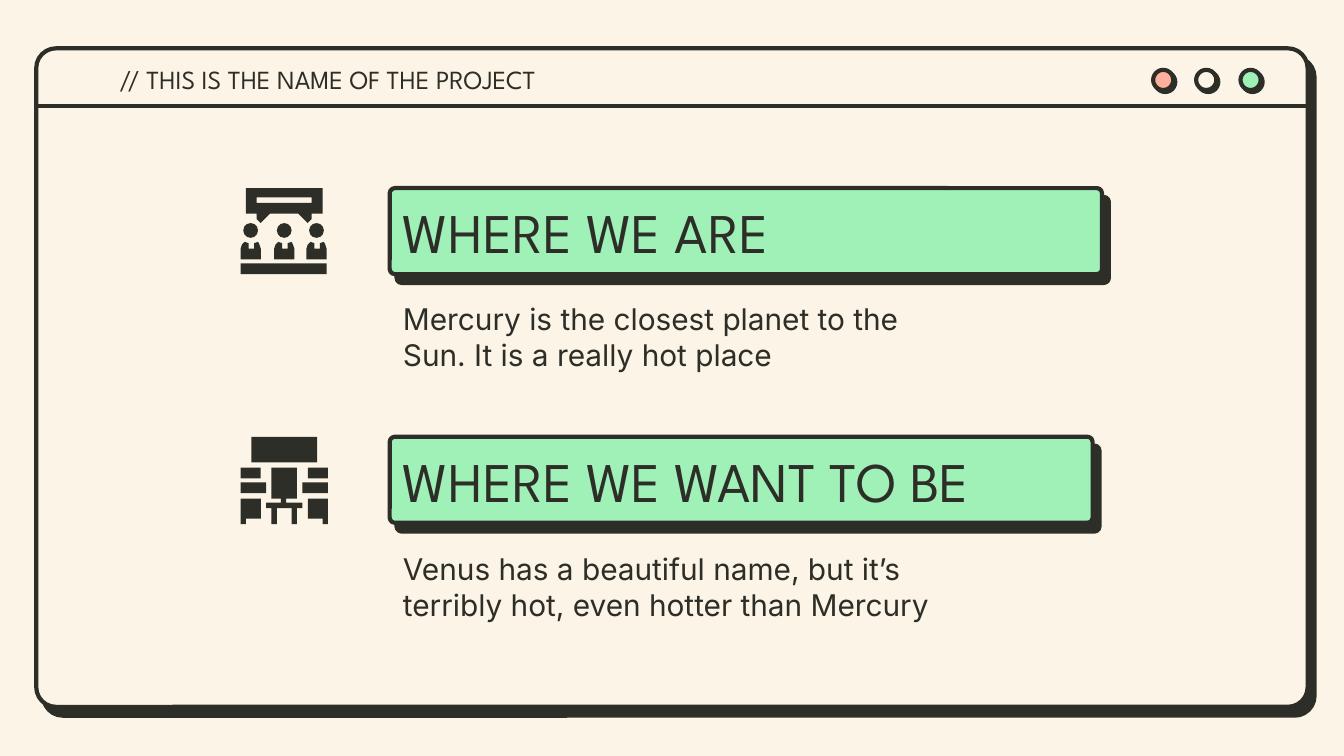
"""Build a slide that compares where we are with where we want to be, in a window frame."""
from lxml import etree
from pptx import Presentation
from pptx.dml.color import RGBColor
from pptx.enum.shapes import MSO_CONNECTOR, MSO_SHAPE
from pptx.enum.text import MSO_ANCHOR, MSO_AUTO_SIZE
from pptx.oxml.ns import qn
from pptx.util import Inches, Pt

ROUNDED, ELLIPSE = MSO_SHAPE.ROUNDED_RECTANGLE, MSO_SHAPE.OVAL
RECTANGLE, STRAIGHT = MSO_SHAPE.RECTANGLE, MSO_CONNECTOR.STRAIGHT
MIDDLE, NO_FIT = MSO_ANCHOR.MIDDLE, MSO_AUTO_SIZE.NONE
COLORS = {"ink": "2D2E27", "cream": "FCF4E6", "coral": "FFB09C", "mint": "9FF1B7"}
INK = RGBColor.from_string(COLORS["ink"])
FORMATS = {
    "project": {"name": "League Spartan", "size": Pt(14)},
    "heading": {"name": "League Spartan", "size": Pt(30)},
    "body": {"name": "Inter", "size": Pt(16)},
}


def add_panel(shapes, preset, box, color, distance=0, angle=0):
    """Add a filled shape; a distance gives it an ink outline and a hard shadow."""
    shape = shapes.add_shape(preset, *map(Inches, box))
    shape.fill.solid()
    shape.fill.fore_color.rgb = RGBColor.from_string(COLORS[color])
    shape.shadow.inherit = False
    if not distance:
        shape.line.fill.background()
        return shape
    shape.line.color.rgb = INK
    shape.line.width = Pt(2.25)
    effects = shape._element.spPr.find(qn("a:effectLst"))
    shadow = etree.SubElement(effects, qn("a:outerShdw"), dist=str(Pt(distance)),
                              dir=str(angle * 60000), algn="bl", rotWithShape="0")
    etree.SubElement(shadow, qn("a:srgbClr"), val=COLORS["ink"])
    return shape


def add_outline(shapes, *contours):
    """Add an ink freeform from closed contours given in inches."""
    contours = [[(Inches(x), Inches(y)) for x, y in contour] for contour in contours]
    builder = shapes.build_freeform(*contours[0][0])
    for number, contour in enumerate(contours):
        if number:
            builder.move_to(*contour[0])
        builder.add_line_segments(contour[1:], close=True)
    shape = builder.convert_to_shape()
    shape.fill.solid()
    shape.fill.fore_color.rgb = INK
    shape.line.fill.background()
    shape.shadow.inherit = False


presentation = Presentation()
presentation.slide_width = Inches(10)
presentation.slide_height = Inches(10) * 9 // 16
slide = presentation.slides.add_slide(presentation.slide_layouts[6])
slide.background.fill.solid()
slide.background.fill.fore_color.rgb = RGBColor.from_string(COLORS["cream"])

window = add_panel(slide.shapes, ROUNDED, (0.27, 0.36, 9.46, 4.9), "cream", 6, 52)
window.adjustments[0] = 0.03
divider = slide.shapes.add_connector(STRAIGHT, Inches(0.27), Inches(0.79), Inches(9.72), Inches(0.79))
divider.line.color.rgb = INK
divider.line.width = Pt(2.25)
etree.SubElement(divider._element.spPr, qn("a:effectLst"))
for left, color in ((8.58, "coral"), (8.9, "cream"), (9.23, "mint")):
    add_panel(slide.shapes, ELLIPSE, (left, 0.52, 0.15, 0.15), color, 1.5, 45)

for top, width in ((1.4, 5.3), (3.25, 5.23)):
    banner = add_panel(slide.shapes, ROUNDED, (2.9, top, width, 0.64), "mint", 6, 52)
    banner.adjustments[0] = 0.06

texts = [
    ("// THIS IS THE NAME OF THE PROJECT", "project", (0.79, 0.41, 4.6, 0.36)),
    ("WHERE WE ARE", "heading", (2.9, 1.59, 5.3, 0.26)),
    ("Mercury is the closest planet to the Sun. It is a really hot place", "body",
     (2.9, 2.24, 4.21, 0.53)),
    ("WHERE WE WANT TO BE", "heading", (2.9, 3.44, 5.3, 0.26)),
    ("Venus has a beautiful name, but it’s terribly hot, even hotter than Mercury", "body",
     (2.9, 4.1, 4.21, 0.53)),
]
for text, style, box in texts:
    frame = slide.shapes.add_textbox(*map(Inches, box)).text_frame
    frame_format = {"word_wrap": True, "auto_size": NO_FIT, "vertical_anchor": MIDDLE}
    for side in ("left", "top", "right", "bottom"):
        frame_format[f"margin_{side}"] = Inches(0.1)
    for name, value in frame_format.items():
        setattr(frame, name, value)
    paragraph = frame.paragraphs[0]
    paragraph.text = text
    for name, value in FORMATS[style].items():
        setattr(paragraph.font, name, value)
    paragraph.font.color.rgb = INK

meeting = slide.shapes.add_group_shape().shapes
add_outline(
    meeting,
    [(1.83, 1.4), (1.83, 1.59), (1.91, 1.59), (1.91, 1.63), (1.94, 1.66), (2.01, 1.59),
     (2.22, 1.59), (2.29, 1.66), (2.32, 1.63), (2.32, 1.59), (2.4, 1.59), (2.4, 1.4)],
    [(1.91, 1.47), (2.32, 1.47), (2.32, 1.51), (1.91, 1.51)],
)
add_panel(meeting, RECTANGLE, (1.79, 1.96, 0.64, 0.08), "ink")
torso = [(0.03, 1.8), (0.01, 1.82), (0, 1.85), (0, 1.93), (0.15, 1.93), (0.15, 1.85), (0.14, 1.82),
         (0.13, 1.8), (0.1, 1.81), (0.1, 1.85), (0.06, 1.85), (0.06, 1.81)]
for left in (1.79, 2.04, 2.28):
    add_panel(meeting, ELLIPSE, (left + 0.02, 1.66, 0.11, 0.11), "ink")
    add_outline(meeting, [(left + x, y) for x, y in torso])

office = slide.shapes.add_group_shape().shapes
add_panel(office, RECTANGLE, (1.87, 3.25, 0.49, 0.19), "ink")
add_outline(office, [
    (2.02, 3.48), (2.02, 3.71), (2.09, 3.71), (2.09, 3.74), (1.98, 3.74), (1.98, 3.78), (2.02, 3.78),
    (2.02, 3.9), (2.06, 3.9), (2.06, 3.78), (2.17, 3.78), (2.17, 3.9), (2.21, 3.9), (2.21, 3.78),
    (2.25, 3.78), (2.25, 3.74), (2.13, 3.74), (2.13, 3.71), (2.21, 3.71), (2.21, 3.48),
])
cabinet = [(1.79, 3.71), (1.79, 3.9), (1.83, 3.9), (1.83, 3.86), (1.94, 3.86), (1.94, 3.71)]
add_outline(office, cabinet)
add_outline(office, [(4.23 - x, y) for x, y in cabinet])
for top, width in ((3.48, 0.15), (3.59, 0.19)):
    for left in (1.79, 2.44 - width):
        add_panel(office, RECTANGLE, (left, top, width, 0.08), "ink")

presentation.save("out.pptx")
